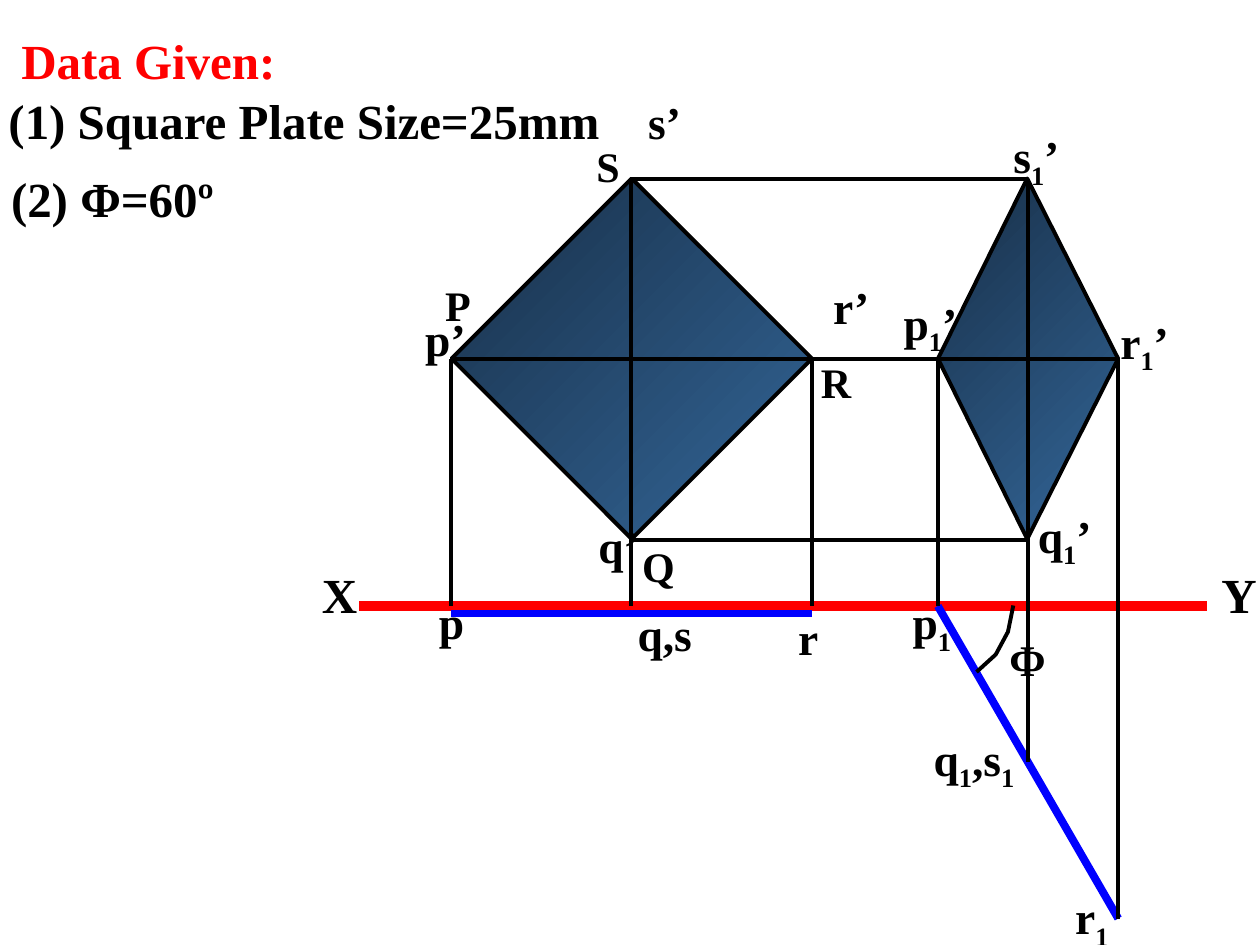
from itertools import groupby
from math import cos, radians, sin

from lxml.etree import SubElement
from pptx import Presentation
from pptx.dml.color import RGBColor
from pptx.enum.shapes import MSO_CONNECTOR
from pptx.enum.text import MSO_ANCHOR, MSO_AUTO_SIZE, PP_ALIGN
from pptx.oxml.ns import qn
from pptx.util import Pt

COLORS = {"black": "000000", "red": "FF0000", "blue": "0000FF",
          "plate_dark": "182F47", "plate_light": "336699"}
FRAME = {"word_wrap": True, "auto_size": MSO_AUTO_SIZE.SHAPE_TO_FIT_TEXT,
         "vertical_anchor": MSO_ANCHOR.TOP,
         "margin_left": Pt(7.2), "margin_right": Pt(7.2),
         "margin_top": Pt(3.6), "margin_bottom": Pt(3.6)}
FONT = {"name": "Times New Roman", "bold": True}
HALF = 103.1
TILT = 60
AXIS = 244
SHIFT = 278.2
ARC_RADIUS = 43.2
LABELS = {
    26: [("q,s", 79.3, 240.4, 85.7), ("s1’", 308.2, -32.5, 52.6),
         ("p’", -39.5, 71.9, 72.7), ("s’", 95.8, -51.9, 52.6),
         ("q’", 45.4, 190, 100.8), ("r’", 202.4, 53.9, 52.6),
         ("p1’", 247.7, 62.6, 52.6), ("r1’", 370.1, 73.4, 52.6),
         ("q1’", 321.2, 184.3, 59), ("p", -25.9, 233.9, 52.6),
         ("r", 177.9, 242.6, 52.6), ("p1", 248.5, 233.9, 52.6),
         ("q1,s1", 261.4, 311.7, 74.9), ("r1", 339.9, 402.4, 52.6)],
    25: [("Φ", 303.2, 255.5, 52.6)],
    28: [("X", -89.9, 216.7, 52.6), ("Y", 424.1, 216.7, 52.6)],
    24: [("P", -22.3, 53.9, 52.6), ("S", 63.4, -25.3, 52.6),
         ("Q", 92.2, 203, 52.6), ("R", 193.7, 97.9, 52.6)],
}


def apply(target, values):
    """Set every attribute named in values on target."""
    for name, value in values.items():
        setattr(target, name, value)


def rgb(name):
    """Return the named colour."""
    return RGBColor.from_string(COLORS[name])


def write(shape, text, size, color="black", align=PP_ALIGN.LEFT, subscripts=False):
    """Fill a shape with one bold line, lowering digits when asked."""
    apply(shape.text_frame, FRAME)
    para = shape.text_frame.paragraphs[0]
    para.alignment = align
    for lowered, letters in groupby(text, lambda letter: subscripts and letter.isdigit()):
        span = para.add_run()
        span.text = "".join(letters)
        apply(span.font, {**FONT, "size": Pt(size)})
        span.font.color.rgb = rgb(color)
        if lowered:
            span._r.get_or_add_rPr().set("baseline", "-25000")


def draw_line(page, start, end, color="black", width=2.25):
    """Draw a straight line between two points."""
    line = page.shapes.add_connector(
        MSO_CONNECTOR.STRAIGHT, *(Pt(value) for value in (*start, *end)))
    line.line.color.rgb = rgb(color)
    line.line.width = Pt(width)
    SubElement(line._element.spPr, qn("a:effectLst"))


def draw_outline(page, points, closed):
    """Draw a black outline through the points, with a plate gradient if closed."""
    builder = page.shapes.build_freeform(*points[0], scale=Pt(1))
    builder.add_line_segments(points[1:], close=closed)
    shape = builder.convert_to_shape()
    shape.shadow.inherit = False
    shape.line.color.rgb = rgb("black")
    shape.line.width = Pt(2.25)
    if not closed:
        shape.fill.background()
        return
    shape.fill.gradient()
    shape.fill.gradient_angle = 315
    for stop, name in zip(shape.fill.gradient_stops, ("plate_dark", "plate_light")):
        stop.color.rgb = rgb(name)


def draw_given_data(page, box):
    """Place the heading and the two given values."""
    left, top = box
    heading = page.shapes.title
    apply(heading, {"left": Pt(left + 7.2), "top": Pt(top),
                    "width": Pt(242), "height": Pt(41)})
    write(heading, "Data Given:", 28, "red")
    for text, x, y, width in (("(1) Square Plate Size=25mm", 0, 34.5, 365),
                              ("(2) Φ=60º", 1.4, 79.2, 287)):
        line = page.shapes.add_textbox(Pt(left + x), Pt(top + y), Pt(width), Pt(41))
        write(line, text, 28)


def draw_projections(page, box):
    """Draw both front views over the plan views, with their projectors."""
    left, top = box
    middle, bottom, axis = top + HALF, top + 2 * HALF, top + AXIS
    p, q, r = (left + step * HALF for step in range(3))
    p1, q1, r1 = (left + SHIFT + step * HALF * cos(radians(TILT)) for step in range(3))
    q1_plan, r1_plan = (axis + step * HALF * sin(radians(TILT)) for step in (1, 2))

    draw_outline(page, [(q1, top), (r1, middle), (q1, bottom), (p1, middle)], True)
    draw_line(page, (left - 52.5, axis), (left + 432.1, axis), "red", 6)
    draw_outline(page, [(q, bottom), (r, middle), (q, top), (p, middle)], True)
    draw_line(page, (p, middle), (r1, middle))
    for x, start, end in ((q, top, axis), (p, middle, axis), (r, middle, axis)):
        draw_line(page, (x, start), (x, end))
    draw_line(page, (p1, axis), (r1, r1_plan), "blue", 4.5)
    for x, start, end in ((r1, middle, r1_plan), (q1, top, q1_plan), (p1, middle, axis)):
        draw_line(page, (x, start), (x, end))
    for y in (top, bottom):
        draw_line(page, (q, y), (q1, y))
    draw_line(page, (p, axis + 4.3), (r, axis + 4.3), "blue", 4.5)
    arc = [(p1 + ARC_RADIUS * cos(radians(angle)), axis + ARC_RADIUS * sin(radians(angle)))
           for angle in range(TILT, -1, -20)]
    draw_outline(page, arc, False)


def draw_labels(page, box):
    """Name the points, the axis ends and the angle."""
    left, top = box
    for size, labels in LABELS.items():
        for text, x, y, width in labels:
            height = 43.2 if "1" in text else 1.21 * size + 7.2
            label = page.shapes.add_textbox(Pt(left + x), Pt(top + y), Pt(width), Pt(height))
            write(label, text, size, align=PP_ALIGN.CENTER, subscripts=True)


def main():
    """Build the slide and save the deck."""
    deck = Presentation()
    apply(deck, {"slide_width": Pt(720), "slide_height": Pt(540)})
    page = deck.slides.add_slide(deck.slide_layouts[5])
    views = (257.7, 102.3)
    draw_given_data(page, (-2.2, 13.7))
    draw_projections(page, views)
    draw_labels(page, views)
    deck.save("out.pptx")


if __name__ == "__main__":
    main()
